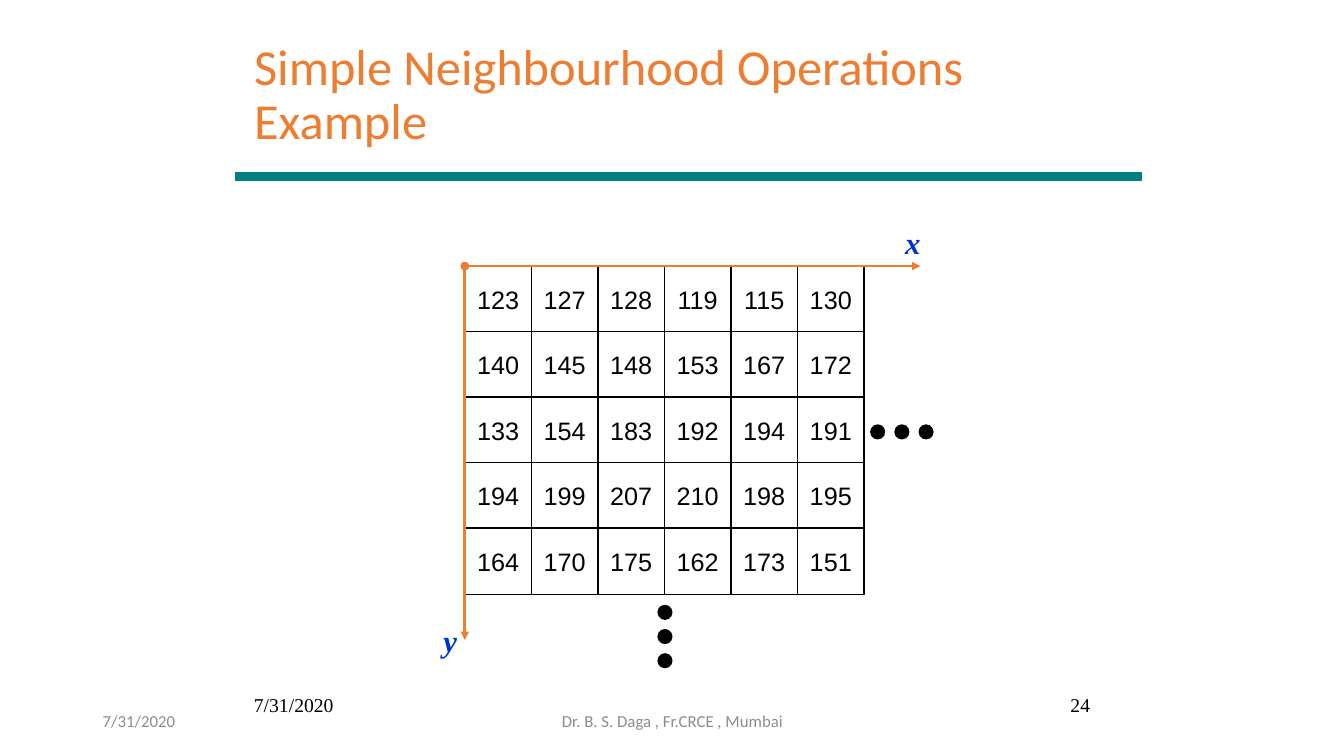
from dataclasses import dataclass
from typing import Any

from lxml.etree import SubElement
from pptx import Presentation
from pptx.dml.color import RGBColor
from pptx.enum.shapes import MSO_CONNECTOR as Connector, MSO_SHAPE as Preset
from pptx.enum.text import MSO_ANCHOR as Anchor, MSO_AUTO_SIZE as AutoSize, PP_ALIGN as Align
from pptx.oxml.ns import qn
from pptx.util import Emu, Pt

PX = 9144  # 100 px to the inch
COLORS = {
    "orange": "ED7D31",
    "teal": "008080",
    "blue": "0033CC",
    "gray": "8C8C8C",
    "black": "000000",
    "white": "FFFFFF",
}
GRID_LEFT, GRID_TOP, CELL = 461, 264, 66
COLUMN_STEP, ROW_STEP = 66, 65
DOT, DOT_STEP = 15, 24
PIXELS = (
    (123, 127, 128, 119, 115, 130),
    (140, 145, 148, 153, 167, 172),
    (133, 154, 183, 192, 194, 191),
    (194, 199, 207, 210, 198, 195),
    (164, 170, 175, 162, 173, 151),
)


@dataclass(frozen=True)
class Label:
    text: str
    left: int
    top: int
    width: int
    height: int
    font: str
    size: int
    color: str
    align: Align = Align.LEFT
    anchor: Anchor = Anchor.TOP
    axis: bool = False


@dataclass(frozen=True)
class Rule:
    start: tuple[int, int]
    end: tuple[int, int]
    color: str
    weight: int
    arrow: bool = False


@dataclass(frozen=True)
class Dots:
    left: int
    top: int
    step_x: int
    step_y: int


FOOTERS = (
    Label("7/31/2020", 242, 683, 208, 50, "Times New Roman", 14, "black"),
    Label("24", 883, 683, 208, 50, "Times New Roman", 14, "black", Align.RIGHT),
    Label("7/31/2020", 92, 695, 300, 40, "Calibri", 12, "gray", anchor=Anchor.MIDDLE),
    Label("Dr. B. S. Daga , Fr.CRCE , Mumbai", 442, 695, 450, 40, "Calibri", 12, "gray",
          Align.CENTER, Anchor.MIDDLE),
)
AXIS_LABELS = (
    Label("x", 888, 217, 35, 47, "Times New Roman", 22, "blue", axis=True),
    Label("y", 430, 612, 34, 47, "Times New Roman", 22, "blue", axis=True),
)
AXES = (
    Rule((GRID_LEFT, GRID_TOP), (913, GRID_TOP), "orange", 2, True),
    Rule((GRID_LEFT, GRID_TOP), (GRID_LEFT, 635), "orange", 2, True),
)
TITLE_RULE = Rule((233, 175), (1133, 175), "teal", 6)
ELLIPSES = (Dots(863, 421, DOT_STEP, 0), Dots(652, 600, 0, DOT_STEP))


def px(*lengths: int) -> list[Emu]:
    return [Emu(length * PX) for length in lengths]


def rgb(name: str) -> RGBColor:
    return RGBColor.from_string(COLORS[name])


def style_text(para: Any, font: str, size: int, color: str, align: Align) -> None:
    para.alignment = align
    para.font.name = font
    para.font.size = Pt(size)
    para.font.color.rgb = rgb(color)


def draw_label(shapes: Any, label: Label) -> None:
    box = shapes.add_textbox(*px(label.left, label.top, label.width, label.height))
    frame = box.text_frame
    frame.text = label.text
    frame.word_wrap = not label.axis
    frame.vertical_anchor = label.anchor
    para = frame.paragraphs[0]
    style_text(para, label.font, label.size, label.color, label.align)
    if label.axis:
        frame.auto_size = AutoSize.SHAPE_TO_FIT_TEXT
        para.font.bold = para.font.italic = True


def draw_rule(shapes: Any, rule: Rule) -> None:
    line = shapes.add_connector(Connector.STRAIGHT, *px(*rule.start, *rule.end))
    line.line.color.rgb = rgb(rule.color)
    line.line.width = Pt(rule.weight)
    properties = line.line._get_or_add_ln().getparent()
    if rule.arrow:
        outline = properties.find(qn("a:ln"))
        SubElement(outline, qn("a:headEnd"), type="oval")
        SubElement(outline, qn("a:tailEnd"), type="triangle")
    SubElement(properties, qn("a:effectLst"))


def draw_cell(shapes: Any, value: int, column: int, row: int) -> None:
    left, top = GRID_LEFT + column * COLUMN_STEP, GRID_TOP + row * ROW_STEP
    cell = shapes.add_shape(Preset.RECTANGLE, *px(left, top, CELL, CELL))
    cell.shadow.inherit = False
    cell.fill.solid()
    cell.fill.fore_color.rgb = rgb("white")
    cell.line.color.rgb = rgb("black")
    cell.line.width = Pt(1)
    frame = cell.text_frame
    frame.text = str(value)
    frame.word_wrap = False
    frame.vertical_anchor = Anchor.MIDDLE
    style_text(frame.paragraphs[0], "Arial", 18, "black", Align.CENTER)


def draw_dots(shapes: Any, dots: Dots) -> None:
    for index in range(3):
        left, top = dots.left + index * dots.step_x, dots.top + index * dots.step_y
        dot = shapes.add_shape(Preset.OVAL, *px(left, top, DOT, DOT))
        dot.shadow.inherit = False
        dot.fill.solid()
        dot.fill.fore_color.rgb = rgb("black")
        dot.line.fill.background()


def draw_title(page: Any) -> None:
    title = page.shapes.title
    title.left, title.top, title.width, title.height = px(242, 33, 850, 125)
    frame = title.text_frame
    frame.text = "Simple Neighbourhood Operations Example"
    frame.word_wrap = True
    frame.auto_size = AutoSize.NONE
    frame.vertical_anchor = Anchor.MIDDLE
    para = frame.paragraphs[0]
    para.line_spacing = 0.9
    style_text(para, "Calibri", 36, "orange", Align.LEFT)


def main() -> None:
    deck = Presentation()
    deck.slide_width, deck.slide_height = px(1333, 750)
    page = deck.slides.add_slide(deck.slide_layouts[5])

    # Title and the rule below it
    draw_title(page)
    draw_rule(page.shapes, TITLE_RULE)

    # Pixel grid with its axes and continuation dots
    diagram = page.shapes.add_group_shape().shapes
    for row, values in enumerate(PIXELS):
        for column, value in enumerate(values):
            draw_cell(diagram, value, column, row)
    for axis in AXES:
        draw_rule(diagram, axis)
    for label in AXIS_LABELS:
        draw_label(diagram, label)
    for dots in ELLIPSES:
        draw_dots(diagram, dots)

    # Dates, page number and footer
    for label in FOOTERS:
        draw_label(page.shapes, label)

    deck.save("out.pptx")


if __name__ == "__main__":
    main()
